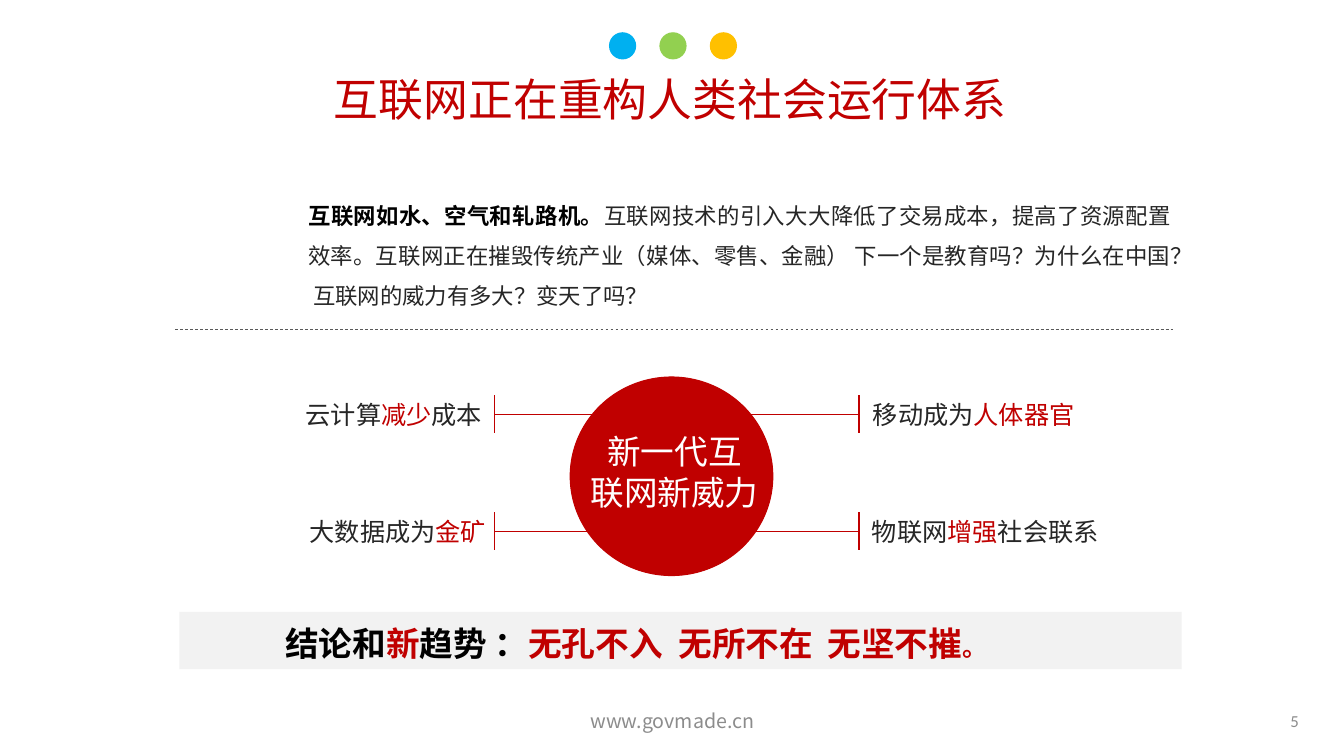
from dataclasses import dataclass

import pptx
import pptx.dml.color
import pptx.enum.dml
import pptx.enum.shapes
import pptx.enum.text
import pptx.oxml
import pptx.oxml.ns
import pptx.util

Inches = pptx.util.Inches
Align = pptx.enum.text.PP_ALIGN
Anchor = pptx.enum.text.MSO_ANCHOR
Preset = pptx.enum.shapes.MSO_SHAPE


@dataclass(frozen=True)
class Theme:
    font: str = "Noto Sans CJK SC"
    number_font: str = "Calibri"
    red: str = "C00000"
    dots: tuple = ("00B0F0", "92D050", "FFC000")
    black: str = "000000"
    ink: str = "262626"
    white: str = "FFFFFF"
    muted: str = "8C8C8C"
    rule: str = "595959"
    band: str = "F2F2F2"
    title_size: int = 32
    heading_size: int = 24
    label_size: int = 18
    body_size: int = 16
    footer_size: int = 14
    number_size: int = 12


THEME = Theme()


def rgb(value):
    return pptx.dml.color.RGBColor.from_string(value)


def lengths(box):
    return [Inches(value) for value in box]


def add_run(paragraph, text, color, size, bold=False, font=THEME.font):
    run = paragraph.add_run()
    run.text = text
    formats = {"name": font, "size": pptx.util.Pt(size), "bold": bold}
    for name, value in formats.items():
        setattr(run.font, name, value)
    run.font.color.rgb = rgb(color)
    east_asian = pptx.oxml.parse_xml(
        f'<a:ea {pptx.oxml.ns.nsdecls("a")} typeface="{font}"/>')
    run.font._element.find(pptx.oxml.ns.qn("a:latin")).addnext(east_asian)


def add_text(slide, box, paragraphs, align=Align.LEFT, anchor=Anchor.TOP, spacing=None):
    """Add a text box; each paragraph is a list of add_run argument tuples."""
    frame = slide.shapes.add_textbox(*lengths(box)).text_frame
    frame.word_wrap = True
    frame.vertical_anchor = anchor
    for index, runs in enumerate(paragraphs):
        paragraph = frame.add_paragraph() if index else frame.paragraphs[0]
        paragraph.alignment = align
        if spacing:
            paragraph.line_spacing = spacing
        for run in runs:
            add_run(paragraph, *run)


def add_filled(slide, preset, box, color):
    shape = slide.shapes.add_shape(preset, *lengths(box))
    shape.shadow.inherit = False
    shape.fill.solid()
    shape.fill.fore_color.rgb = rgb(color)
    shape.line.fill.background()
    return shape


def add_line(shapes, start, end, color, width=0.75):
    line = shapes.add_connector(
        pptx.enum.shapes.MSO_CONNECTOR.STRAIGHT, *lengths(start + end))
    line._element.spPr.append(
        pptx.oxml.parse_xml(f'<a:effectLst {pptx.oxml.ns.nsdecls("a")}/>'))
    line.line.color.rgb = rgb(color)
    line.line.width = pptx.util.Pt(width)
    return line


def header(slide, box):
    left, top, width, height = box
    size, pitch = 0.27, 0.5
    for index, color in enumerate(THEME.dots):
        add_filled(slide, Preset.OVAL, (left + 5.5 + index * pitch, top, size, size), color)
    title = ("互联网正在重构人类社会运行体系", THEME.red, THEME.title_size)
    add_text(slide, (left, top + 0.34, width, height - 0.34), [[title]], Align.CENTER)


def introduction(slide, box):
    left, top, width, height = box
    add_text(slide, box, [[
        ("互联网如水、空气和轧路机。", THEME.black, THEME.body_size, True),
        ("互联网技术的引入大大降低了交易成本，提高了资源配置效率。"
         "互联网正在摧毁传统产业（媒体、零售、金融） 下一个是教育吗？为什么在中国？ "
         "互联网的威力有多大？变天了吗？", THEME.ink, THEME.body_size),
    ]], Align.JUSTIFY, spacing=1.5)
    rule_y = top + height + 0.14
    rule = add_line(slide.shapes, (1.74, rule_y), (left + 8.67, rule_y), THEME.rule, 0.5)
    rule.line.dash_style = pptx.enum.dml.MSO_LINE.DASH


def branch(slide, hub_x, tick_x, y):
    """Draw a stem from the hub to a short upright tick."""
    group = slide.shapes.add_group_shape()
    add_line(group.shapes, (hub_x, y), (tick_x, y), THEME.red)
    add_line(group.shapes, (tick_x, y - 0.19), (tick_x, y + 0.19), THEME.red)


def hub_diagram(slide, box):
    left, top, width, height = box
    center = left + width / 2
    rows = (top + 0.37, top + 1.53)
    labels = (
        (0, -1, 4.88, (("云计算", THEME.ink), ("减少", THEME.red), ("成本", THEME.ink))),
        (0, 1, 8.56, (("移动成为", THEME.ink), ("人体器官", THEME.red))),
        (1, -1, 4.92, (("大数据成为", THEME.ink), ("金矿", THEME.red))),
        (1, 1, 8.55, (("物联网", THEME.ink), ("增强", THEME.red), ("社会联系", THEME.ink))),
    )
    label_width = 2.8
    for row, side, edge, parts in labels:
        y = rows[row]
        branch(slide, center + side * 0.6, center + side * 1.81, y)
        add_text(slide, (edge if side > 0 else edge - label_width, y - 0.2, label_width, 0.4),
                 [[(text, color, THEME.label_size) for text, color in parts]],
                 Align.LEFT if side > 0 else Align.RIGHT)

    hub_width = 2.01
    hub = add_filled(slide, Preset.OVAL,
                     (center - hub_width / 2 - 0.05, top, hub_width, height), THEME.red)
    hub.line.color.rgb = rgb(THEME.red)
    hub.line.width = pptx.util.Pt(0.75)
    add_text(slide, (center - 1.07, top + 0.49, 2.1, 0.91),
             [[(text, THEME.white, THEME.heading_size)] for text in ("新一代互", "联网新威力")],
             Align.CENTER)


def conclusion(slide, box):
    frame = add_filled(slide, Preset.RECTANGLE, box, THEME.band).text_frame
    formats = {"word_wrap": True, "vertical_anchor": Anchor.TOP,
               "margin_left": Inches(1.05), "margin_top": Inches(0.11), "margin_bottom": 0}
    for name, value in formats.items():
        setattr(frame, name, value)
    paragraph = frame.paragraphs[0]
    paragraph.alignment = Align.LEFT
    stops = "".join(f'<a:tab pos="{Inches(stop)}" algn="l"/>' for stop in (3.9, 5.38))
    paragraph._p.get_or_add_pPr().append(pptx.oxml.parse_xml(
        f'<a:tabLst {pptx.oxml.ns.nsdecls("a")}>{stops}</a:tabLst>'))
    for text, color, size in (
        ("结论和", THEME.black, THEME.heading_size),
        ("新", THEME.red, THEME.heading_size),
        ("趋势 ：", THEME.black, THEME.heading_size),
        ("无孔不入\t无所不在\t无坚不摧", THEME.red, THEME.heading_size),
        ("。", THEME.red, THEME.label_size),
    ):
        add_run(paragraph, text, color, size, True)


def footer(slide, box):
    left, top, width, height = box
    add_text(slide, (left, top, 4.5, height),
             [[("www.govmade.cn", THEME.muted, THEME.footer_size)]],
             Align.CENTER, Anchor.MIDDLE)
    add_text(slide, (left + width - 3, top, 3, height),
             [[("5", THEME.muted, THEME.number_size, False, THEME.number_font)]],
             Align.RIGHT, Anchor.MIDDLE)


def main():
    presentation = pptx.Presentation()
    presentation.slide_width = Inches(13.33)
    presentation.slide_height = Inches(7.5)
    slide = presentation.slides.add_slide(presentation.slide_layouts[6])
    header(slide, (0.54, 0.32, 12.22, 0.98))
    introduction(slide, (2.96, 1.82, 8.76, 1.31))
    hub_diagram(slide, (4.9, 3.74, 3.62, 1.97))
    conclusion(slide, (1.78, 6.07, 9.94, 0.57))
    footer(slide, (4.42, 6.95, 8.56, 0.4))
    presentation.save("out.pptx")


if __name__ == "__main__":
    main()
